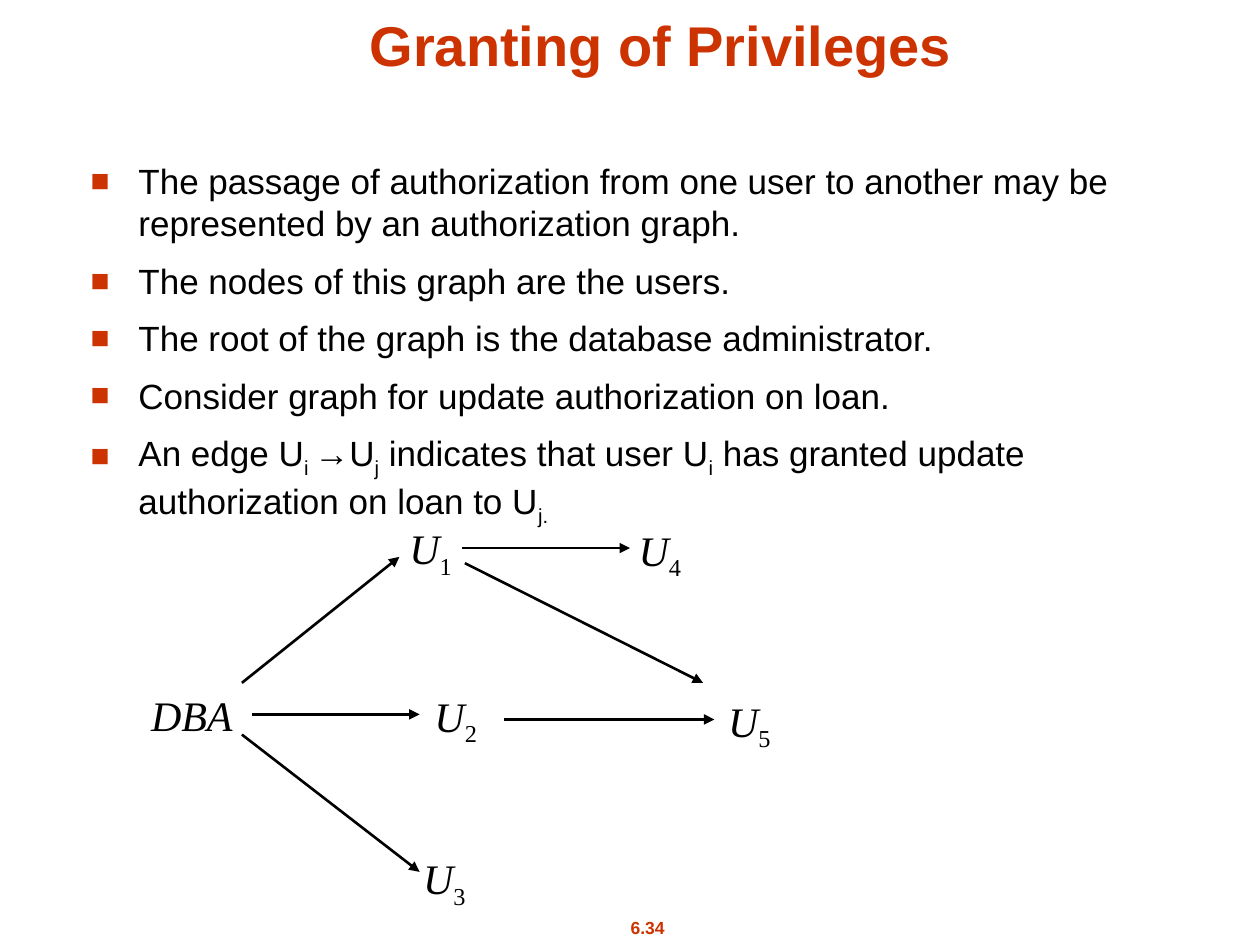
"""Build the slide on granting of privileges with its authorization graph."""
from lxml.etree import SubElement
from pptx import Presentation
from pptx.dml.color import RGBColor
from pptx.enum.shapes import MSO_CONNECTOR
from pptx.enum.text import MSO_ANCHOR, PP_ALIGN
from pptx.oxml.ns import qn
from pptx.util import Inches, Pt

COLORS = {"accent": "CC3300", "ink": "000000"}
WIDTH, HEIGHT = Inches(10), Inches(7.5)
COLUMN, ROW = WIDTH / 100, HEIGHT / 75


def add_text_box(page, left, top, width, height, wrap=True):
    box = page.shapes.add_textbox(
        int(left * COLUMN), int(top * ROW), int(width * COLUMN), int(height * ROW)
    )
    box.text_frame.word_wrap = wrap
    return box.text_frame


def write(para, text, font, size, color, bold=False, italic=False):
    """Write text whose every second part, split at bars, is a subscript."""
    para.font.name, para.font.size, para.font.bold = font, Pt(size), bold
    para.font.color.rgb = RGBColor.from_string(COLORS[color])
    parts = text.split("|")
    if len(parts) == 1 or not italic:
        para.font.italic = italic
    for index, part in enumerate(parts):
        if part:
            span = para.add_run()
            span.text = part
            if italic and len(parts) > 1:
                span.font.italic = index % 2 == 0
            if index % 2:
                span.font._element.set("baseline", "-25000")


deck = Presentation()
deck.slide_width, deck.slide_height = WIDTH, HEIGHT
page = deck.slides.add_slide(deck.slide_layouts[6])

number = add_text_box(page, 46.5, 72.3, 9.8, 2.7, wrap=False)
number.paragraphs[0].alignment = PP_ALIGN.CENTER
write(number.paragraphs[0], "6.34", "Arial", 10, "accent", bold=True)

title = add_text_box(page, 8.3, 0, 88.3, 6.7)
title.vertical_anchor = MSO_ANCHOR.BOTTOM
title.paragraphs[0].alignment = PP_ALIGN.CENTER
write(title.paragraphs[0], "Granting of Privileges", "Arial", 32, "accent", bold=True)

points = [
    "The passage of authorization from one user to another may be represented by an authorization graph.",
    "The nodes of this graph are the users.",
    "The root of the graph is the database administrator.",
    "Consider graph for update authorization on loan.",
    "An edge U|i |→U|j| indicates that user U|i| has granted update authorization on loan to U|j.",
]
body = add_text_box(page, 6.2, 12.2, 85.8, 53.3)
for index, point in enumerate(points):
    para = body.paragraphs[0] if index == 0 else body.add_paragraph()
    properties = para._p.get_or_add_pPr()
    properties.set("marL", str(Inches(0.38)))
    properties.set("indent", str(-Inches(0.38)))
    bullet_color = SubElement(properties, qn("a:buClr"))
    SubElement(bullet_color, qn("a:srgbClr"), val=COLORS["accent"])
    SubElement(properties, qn("a:buSzPct"), val="90000")
    SubElement(properties, qn("a:buFont"), typeface="Arial")
    SubElement(properties, qn("a:buChar"), char="■")
    para.space_before = Pt(8.8 if index else 0)
    write(para, point, "Arial", 20, "ink")

edges = [
    (19.2, 54.2, 31.7, 44.2),
    (36.7, 43.5, 50, 43.5),
    (20, 56.7, 33.3, 56.7),
    (19.2, 58.3, 33.3, 69.2),
    (40, 57.1, 56.7, 57.1),
    (36.9, 44.7, 55.8, 54.2),
]
for start_x, start_y, end_x, end_y in edges:
    edge = page.shapes.add_connector(
        MSO_CONNECTOR.STRAIGHT,
        int(start_x * COLUMN), int(start_y * ROW), int(end_x * COLUMN), int(end_y * ROW),
    )
    edge.line.width = Pt(1.5)
    edge.line.color.rgb = RGBColor.from_string(COLORS["ink"])
    SubElement(edge.line._get_or_add_ln(), qn("a:tailEnd"), type="triangle")
    SubElement(edge._element.spPr, qn("a:effectLst"))

nodes = [
    ("U|1", 31.5, 41, 5.4, 5.6),
    ("U|4", 49.7, 41.1, 5.4, 5.6),
    ("U|2", 33.5, 54.3, 5.4, 5.6),
    ("U|5", 56.8, 54.7, 5.4, 5.6),
    ("U|3", 32.6, 67.2, 5.4, 5.6),
    ("DBA", 11, 54.2, 8.5, 5),
]
for label, left, top, width, height in nodes:
    node = add_text_box(page, left, top, width, height, wrap=False)
    write(node.paragraphs[0], label, "Times New Roman", 24, "ink", italic=True)

deck.save("out.pptx")
